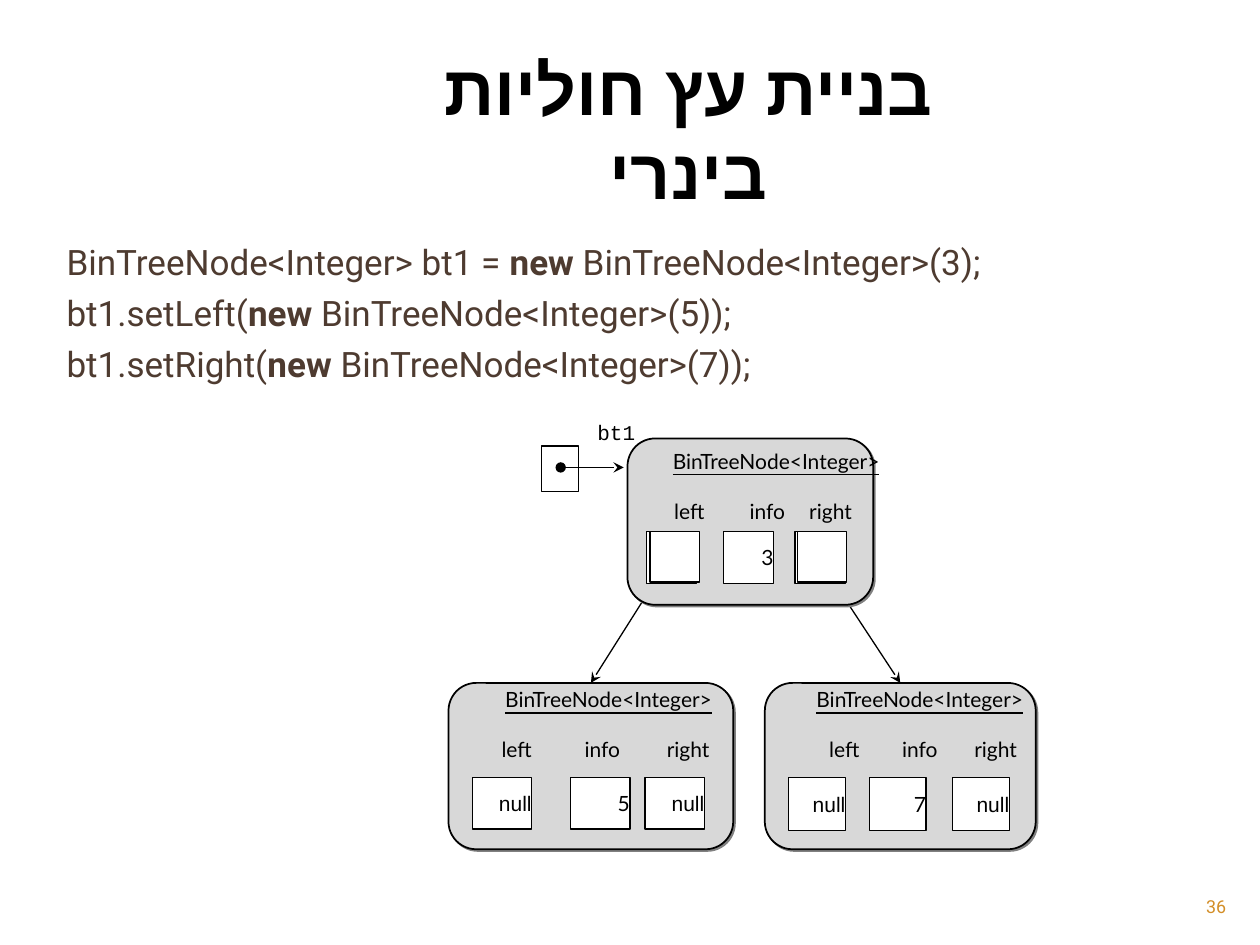
import pptx
import pptx.util
import pptx.dml.color
import pptx.enum.shapes
import pptx.enum.text
import pptx.oxml
import pptx.oxml.ns
from pptx.util import Inches

COLORS = {"black": "000000", "white": "FFFFFF", "node": "D8D8D8",
          "shadow": "808080", "code": "4E3B30", "number": "D38E27"}
ALIGN = pptx.enum.text.PP_ALIGN
SHAPE = pptx.enum.shapes.MSO_SHAPE

TITLE = "בניית עץ חוליות בינרי"
PAGE_NUMBER = "36"
# Each code line is split around its bold keyword.
CODE = [
    ("BinTreeNode<Integer> bt1 = ", "new", " BinTreeNode<Integer>(3);"),
    ("bt1.setLeft(", "new", " BinTreeNode<Integer>(5));"),
    ("bt1.setRight(", "new", " BinTreeNode<Integer>(7));"),
]
NODE_TYPE = "BinTreeNode<Integer>"
FIELDS = ("left", "info", "right")

# Boxes are (left, top, width, height); other numbers are left edges.
CHILDREN = [
    {"box": (3.56, 5.42, 2.26, 1.32), "heading": (3.2, 5.4, 2.55, 0.75),
     "labels": (2.89, 3.59, 4.3), "label_size": (5.8, 1.43, 0.71),
     "cells": (3.75, 4.53, 5.12), "cell_size": (6.17, 0.47, 0.41),
     "values": ("null", "5", "null")},
    {"box": (6.07, 5.42, 2.15, 1.32), "heading": (5.78, 5.4, 2.44, 0.75),
     "labels": (5.55, 6.17, 6.8), "label_size": (5.8, 1.37, 0.71),
     "cells": (6.26, 6.9, 7.56), "cell_size": (6.17, 0.45, 0.42),
     "values": ("null", "7", "null")},
]
ROOT = {"box": (4.98, 3.48, 1.95, 1.32), "heading": (4.87, 3.51, 2.21, 0.75),
        "labels": (4.45, 5.09, 5.62), "label_size": (3.91, 1.24, 0.71),
        "cells": (5.13, 5.74, 6.31), "cell_size": (4.22, 0.4, 0.41),
        "values": ("", "3", "")}
LINK_STARTS = [(5.31, 4.44), (6.5, 4.44)]
LINK_FRONTS = [(5.16, 4.22, 0.39, 0.4), (6.33, 4.22, 0.39, 0.4)]


def rgb(name):
    return pptx.dml.color.RGBColor.from_string(COLORS[name])


def add_xml(parent, body):
    namespace = pptx.oxml.ns.nsdecls("a")
    parent.append(pptx.oxml.parse_xml(body.replace(" ", f" {namespace} ", 1)))


def write(shape, lines, font="Lato", size=12, color="black", bold=False,
          underline=False, align=ALIGN.RIGHT, anchor=pptx.enum.text.MSO_ANCHOR.TOP,
          inset=(0.1, 0.05), gap=0, rtl=False, line_spacing=None):
    """Fill a shape with lines; a line given as a tuple has bold odd runs."""
    frame = shape.text_frame
    frame.word_wrap = True
    frame.auto_size = pptx.enum.text.MSO_AUTO_SIZE.NONE
    frame.vertical_anchor = anchor
    frame.margin_left = frame.margin_right = Inches(inset[0])
    frame.margin_top = frame.margin_bottom = Inches(inset[1])
    for index, line in enumerate(lines):
        paragraph = frame.add_paragraph() if index else frame.paragraphs[0]
        paragraph.alignment = align
        paragraph.line_spacing = line_spacing
        if index:
            paragraph.space_before = pptx.util.Pt(gap)
        if rtl:
            paragraph._p.get_or_add_pPr().set("rtl", "1")
        for position, part in enumerate([line] if isinstance(line, str) else line):
            run = paragraph.add_run()
            run.text = part
            run.font.name = font
            run.font.size = pptx.util.Pt(size)
            run.font.bold = bold or position % 2 == 1
            run.font.underline = underline
            run.font.color.rgb = rgb(color)
            if rtl:
                add_xml(run.font._element, f'<a:cs typeface="{font}"/>')


def add_text(slide, box, lines, **text_format):
    shape = slide.shapes.add_textbox(*map(Inches, box))
    write(shape, lines, **text_format)
    return shape


def add_box(slide, kind, box, fill, line_width):
    shape = slide.shapes.add_shape(kind, *map(Inches, box))
    shape.shadow.inherit = False
    shape.fill.solid()
    shape.fill.fore_color.rgb = rgb(fill)
    shape.line.color.rgb = rgb("black")
    shape.line.width = pptx.util.Pt(line_width)
    return shape


def add_cell(slide, box, value=""):
    cell = add_box(slide, SHAPE.RECTANGLE, box, "white", 0.75)
    if value:
        write(cell, [value], font="Arial" if value == "null" else "Lato",
              anchor=pptx.enum.text.MSO_ANCHOR.MIDDLE, inset=(0, 0))


def add_node(slide, node):
    body = add_box(slide, SHAPE.ROUNDED_RECTANGLE, node["box"], "node", 1)
    effects = body._element.spPr.find(pptx.oxml.ns.qn("a:effectLst"))
    add_xml(effects, '<a:outerShdw blurRad="0" dist="17780" dir="2700000" algn="ctr" '
                     f'rotWithShape="0"><a:srgbClr val="{COLORS["shadow"]}"/></a:outerShdw>')
    add_text(slide, node["heading"], [NODE_TYPE], underline=True)
    for label, left in zip(FIELDS, node["labels"]):
        add_text(slide, (left, *node["label_size"]), [label])
    for value, left in zip(node["values"], node["cells"]):
        add_cell(slide, (left, *node["cell_size"]), value)
    return body


def add_arrow(slide, start, end):
    arrow = slide.shapes.add_connector(pptx.enum.shapes.MSO_CONNECTOR.STRAIGHT,
                                       *map(Inches, (*start, *end)))
    arrow.line.color.rgb = rgb("black")
    arrow.line.width = pptx.util.Pt(0.75)
    outline = arrow.line._get_or_add_ln()
    add_xml(outline, '<a:headEnd type="oval"/>')
    add_xml(outline, '<a:tailEnd type="stealth"/>')
    add_xml(arrow._element.spPr, "<a:effectLst />")
    return arrow


def main():
    presentation = pptx.Presentation()
    presentation.slide_width, presentation.slide_height = Inches(10), Inches(7.5)
    slide = presentation.slides.add_slide(presentation.slide_layouts[5])

    title = slide.shapes.title
    title.left, title.top, title.width, title.height = map(Inches, (2.81, 0.31, 5.31, 2.1))
    write(title, [TITLE], font="Arial", size=40, bold=True, align=ALIGN.CENTER, rtl=True)
    add_text(slide, (9, 7.08, 0.83, 0.27), [PAGE_NUMBER], font="Roboto", size=10.2,
             color="number", rtl=True, line_spacing=0.9)
    add_text(slide, (0.43, 1.86, 9.29, 5.17), CODE, font="Roboto", size=20,
             color="code", align=ALIGN.LEFT, gap=5)

    for child, start in zip(CHILDREN, LINK_STARTS):
        body = add_node(slide, child)
        left, top, width, _ = child["box"]
        add_arrow(slide, start, (left + width / 2, top)).end_connect(body, 0)

    add_text(slide, (3.76, 3.28, 1.38, 0.32), ["bt1"], font="Courier New")
    add_cell(slide, (4.3, 3.54, 0.29, 0.36))
    add_arrow(slide, (4.45, 3.71), (4.95, 3.71))
    add_node(slide, ROOT)
    for box in LINK_FRONTS:
        add_cell(slide, box)

    presentation.save("out.pptx")


if __name__ == "__main__":
    main()
